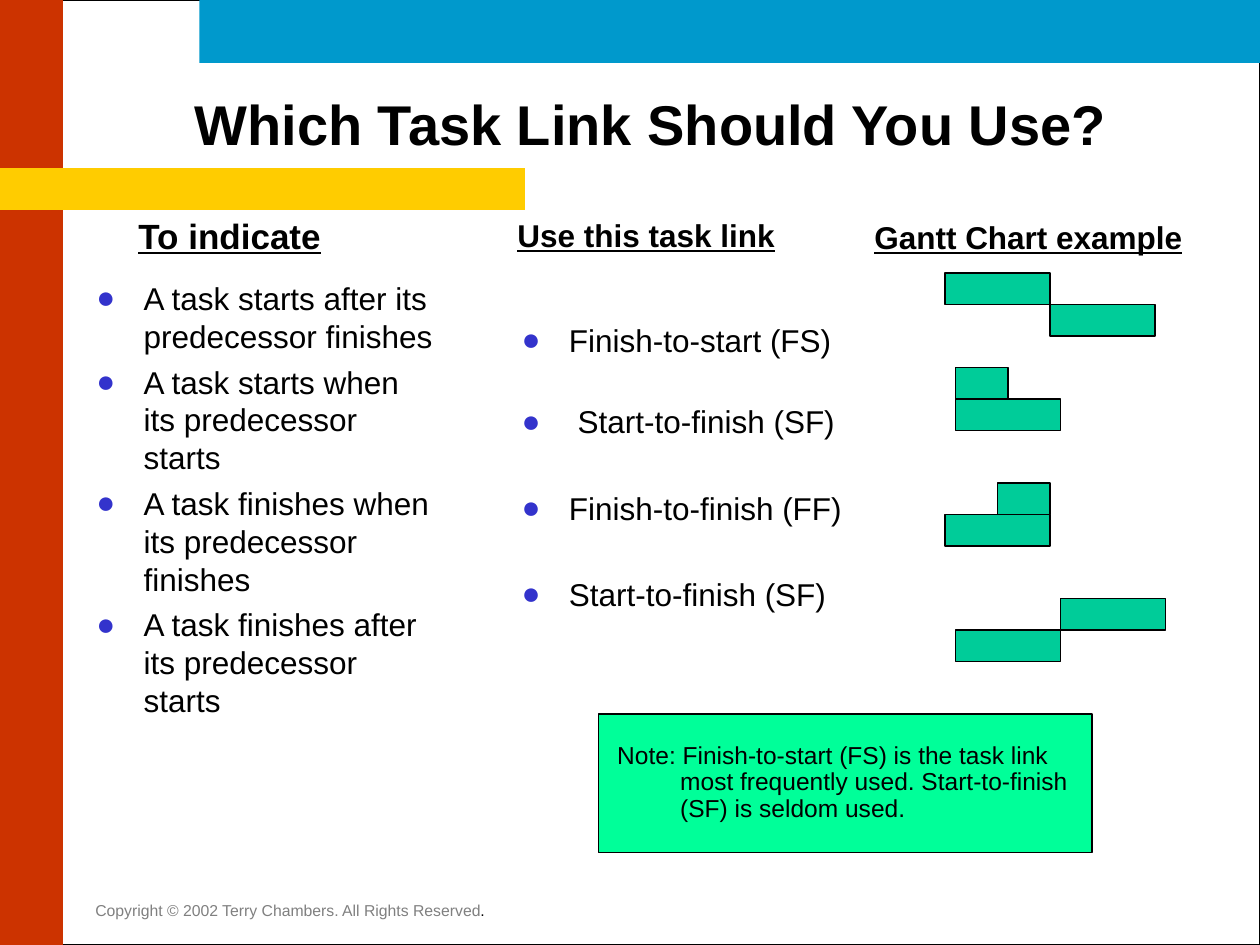
from lxml import etree
from pptx import Presentation, util as u
from pptx.dml.color import RGBColor
from pptx.enum import shapes, text
from pptx.oxml.ns import qn

PX = 7620  # EMU per px, 120 px to the inch
BLACK = "000000"

deck = Presentation()
deck.slide_width, deck.slide_height = 1200 * PX, 900 * PX
slide = deck.slides.add_slide(deck.slide_layouts[6])


def color(value):
    return RGBColor.from_string(value)


def block(x, y, w, h, fill=None, line=None):
    rect = slide.shapes.add_shape(shapes.MSO_SHAPE.RECTANGLE, x * PX, y * PX, w * PX, h * PX)
    rect.shadow.inherit = False
    if fill:
        rect.fill.solid()
        rect.fill.fore_color.rgb = color(fill)
    else:
        rect.fill.background()
    if line:
        rect.line.color.rgb = color(line)
        rect.line.width = u.Pt(0.75)
    else:
        rect.line.fill.background()


def write(x, y, w, h, lines, size, wrap=True, before=(), indent=0, bullet=False):
    box = slide.shapes.add_textbox(x * PX, y * PX, w * PX, h * PX)
    frame = box.text_frame
    frame.word_wrap = wrap
    for i, line in enumerate(lines):
        para = frame.paragraphs[0] if i == 0 else frame.add_paragraph()
        para.text = line
        props = para._p.get_or_add_pPr()
        if indent:
            props.set("marL", str(indent * PX))
            props.set("indent", str(-indent * PX))
        if bullet:
            tint = etree.SubElement(props, qn("a:buClr"))
            etree.SubElement(tint, qn("a:srgbClr"), val="3333CC")
            etree.SubElement(props, qn("a:buFont"), typeface="Arial")
            etree.SubElement(props, qn("a:buChar"), char="●")
        if i:
            para.space_before = u.Pt(before[i - 1])
        para.font.size = u.Pt(size)
        para.font.name = "Arial"
        para.font.color.rgb = color(BLACK)
    return frame


# Page frame and colour bands
block(0, 0, 1200, 900, line=BLACK)
block(190, 0, 1010, 60, "0099CC")
block(0, 0, 60, 900, "CC3300")
block(0, 160, 500, 40, "FFCC00")

# Copyright line: grey with a black full stop
footer = write(79, 852, 397, 30, ["Copyright © 2002 Terry Chambers. All Rights Reserved"], 9, wrap=False)
notice = footer.paragraphs[0]
notice.runs[0].font.color.rgb = color("808080")
stop = notice.add_run()
stop.text = "."
stop.font.color.rgb = color(BLACK)

# Title
title = write(110, 72, 1020, 90, ["Which Task Link Should You Use?"], 32)
title.vertical_anchor = text.MSO_ANCHOR.MIDDLE
title.paragraphs[0].alignment = text.PP_ALIGN.CENTER
title.paragraphs[0].font.bold = True

# Column headings
for x, y, w, h, label, size in [
    (120, 198, 200, 53, "To indicate", 20),
    (481, 200, 269, 48, "Use this task link", 18),
    (821, 202, 317, 48, "Gantt Chart example", 18),
]:
    heading = write(x, y, w, h, [label], size, wrap=False).paragraphs[0]
    heading.font.bold = True
    heading.font.underline = True

# What to indicate
meanings = [
    "A task starts after its predecessor finishes",
    "A task starts when its predecessor starts",
    "A task finishes when its predecessor finishes",
    "A task finishes after its predecessor starts",
]
write(80, 260, 350, 530, meanings, 18, before=[4.5] * 3, indent=45, bullet=True)

# Task links
links = [
    "Finish-to-start (FS)",
    " Start-to-finish (SF)",
    "Finish-to-finish (FF)",
    "Start-to-finish (SF)",
]
write(485, 300, 332, 530, links, 18, before=[24.8, 27.7, 27.7], indent=45, bullet=True)

# Gantt examples: top, then left and width of the upper and lower bars
BAR = 30
for top, *bars in [
    (260, (900, 100), (1000, 100)),
    (350, (910, 50), (910, 100)),
    (460, (950, 50), (900, 100)),
    (570, (1010, 100), (910, 100)),
]:
    for row, (left, width) in enumerate(bars):
        block(left, top + row * BAR, width, BAR, "00CC99", BLACK)

# Note
block(570, 680, 470, 132, "00FF99", BLACK)
note = write(576, 702, 460, 88, [
    "Note: Finish-to-start (FS) is the task link most frequently used. "
    "Start-to-finish (SF) is seldom used."], 14, indent=60)
note.paragraphs[0].line_spacing = 0.9

deck.save("out.pptx")
